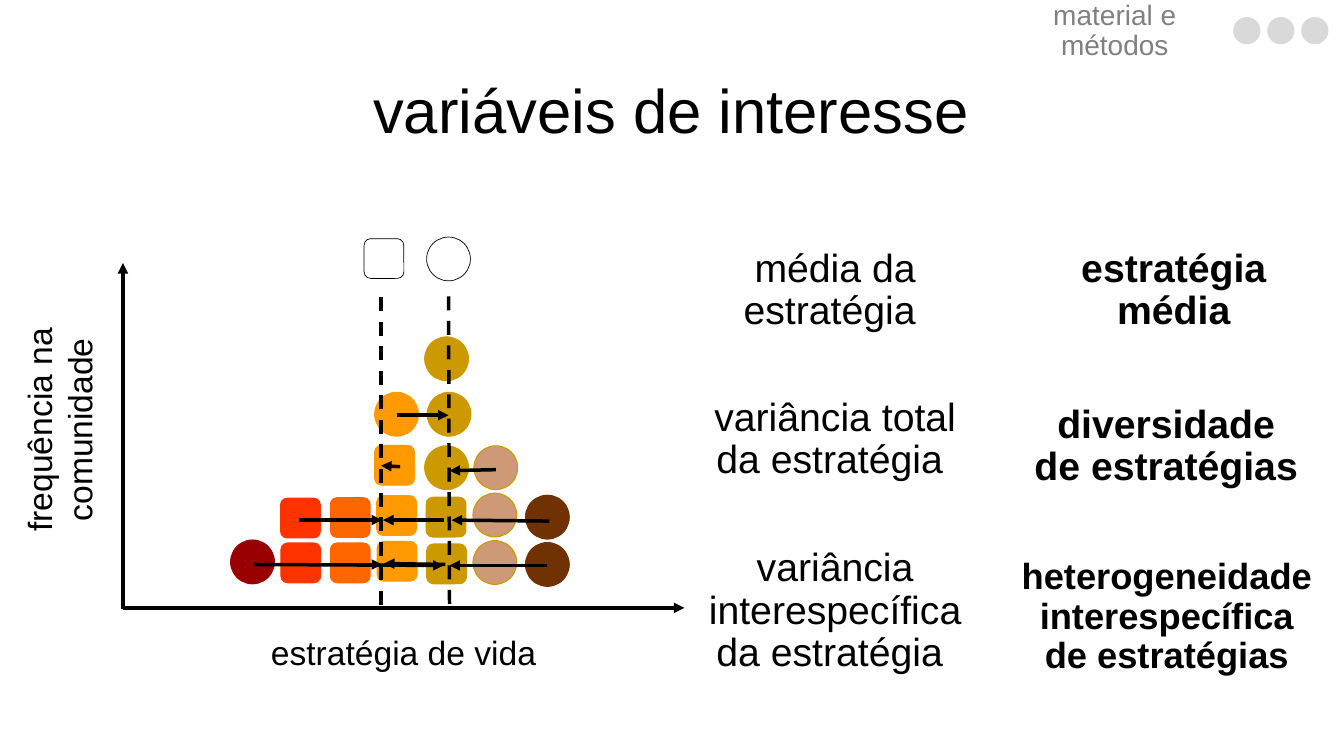
from lxml.etree import SubElement
from pptx import Presentation
from pptx.dml.color import RGBColor
from pptx.enum.dml import MSO_LINE
from pptx.enum.shapes import MSO_CONNECTOR, MSO_SHAPE
from pptx.enum.text import MSO_ANCHOR, PP_ALIGN
from pptx.oxml.ns import qn
from pptx.util import Pt

BLACK = RGBColor(0x00, 0x00, 0x00)
GREY = RGBColor(0x80, 0x80, 0x80)
LIGHT_GREY = RGBColor(0xD9, 0xD9, 0xD9)
DARK_RED = RGBColor(0x99, 0x00, 0x00)
RED = RGBColor(0xFF, 0x33, 0x00)
ORANGE = RGBColor(0xFF, 0x66, 0x00)
AMBER = RGBColor(0xFF, 0x99, 0x00)
MUSTARD = RGBColor(0xCC, 0x99, 0x00)
TAN = RGBColor(0xCD, 0x99, 0x76)
BROWN = RGBColor(0x70, 0x31, 0x03)

FONT = "Arial"
SQUARE, CIRCLE = MSO_SHAPE.ROUNDED_RECTANGLE, MSO_SHAPE.OVAL
TOKEN_SIZE = {SQUARE: 28.4, CIRCLE: 31.3}
MIDDLE, TOP = MSO_ANCHOR.MIDDLE, MSO_ANCHOR.TOP

# text, (left, top, width, height), format
HEADINGS = [
    ("variáveis de interesse", (40.3, 28.8, 878.4, 104.4), {"size": Pt(44)}),
    ("material e métodos", (709.2, 5.8, 174.2, 33.8),
     {"size": Pt(20), "color": GREY}),
]
# measure, its top, concept, concept's box, concept's size
VARIABLES = [
    ("média da estratégia ", 155.5,
     "estratégia média", (738.7, 155.5, 199.4, 104.4), 28),
    ("variância total da estratégia ", 262.1,
     "diversidade de estratégias", (728.6, 267.1, 208.8, 104.4), 28),
    ("variância interespecífica da estratégia ", 384.5,
     "heterogeneidade interespecífica de estratégias",
     (718.6, 388.8, 229.7, 104.4), 25.9),
]
MEASURE_LEFT, MEASURE_WIDTH, MEASURE_HEIGHT = 496.8, 199.4, 104.4

# colour, kind, centres of the individuals
INDIVIDUALS = [
    (DARK_RED, CIRCLE, [(180.4, 401.4)]),
    (RED, SQUARE, [(214.9, 402.1), (214.6, 370.1)]),
    (ORANGE, SQUARE, [(250.2, 402.1), (250.2, 369.7)]),
    (AMBER, SQUARE, [(283.7, 401), (283.3, 368.3), (281.9, 332.3)]),
    (AMBER, CIRCLE, [(283.3, 295.9)]),
    (MUSTARD, SQUARE, [(319, 402.8), (318.6, 369.4)]),
    (MUSTARD, CIRCLE, [(319, 334.1), (320.8, 295.9), (319, 256.3)]),
    (TAN, CIRCLE, [(353.5, 401.8), (353.5, 367.9), (354.2, 334.1)]),
    (BROWN, CIRCLE, [(391, 403.2), (391, 369.4)]),
]
SPECIES = [(SQUARE, (274.3, 184.7)), (CIRCLE, (320.4, 185))]
PROGRESS_DOTS, DOT_START, DOT_STEP, DOT_Y, DOT_SIZE = 3, 890.6, 24.3, 21.9, 18.7

AXES = [(87.8, 434.2, 488.9, 434.2), (87.8, 434.9, 87.8, 187.9)]
MEANS = [(321.1, 431.3, 320.4, 209.5), (272.2, 432, 272.2, 210.2)]
DEVIATIONS = [
    (181.4, 403.2, 316.8, 403.9), (391, 403.9, 321.1, 403.9),
    (354.2, 335.5, 321.1, 336.2), (392.4, 372.2, 322.6, 371.5),
    (283.7, 296.6, 320.4, 296.6), (214.6, 403.2, 272.9, 403.2),
    (317.5, 371.5, 273.6, 371.5), (213.8, 371.5, 272.9, 371.5),
    (285.8, 333.4, 272.2, 332.6), (318.2, 403.2, 274.3, 402.5),
]


def add_text(page, text, frame, style, anchor=MIDDLE, spacing=0.9, wrap=True):
    box = page.shapes.add_textbox(*map(Pt, frame))
    box.text_frame.word_wrap = wrap
    box.text_frame.vertical_anchor = anchor
    para = box.text_frame.paragraphs[0]
    para.alignment, para.line_spacing = PP_ALIGN.CENTER, spacing
    span = para.add_run()
    span.text = text
    values = {"name": FONT, "color": BLACK, **style}
    span.font.color.rgb = values.pop("color")
    for name, value in values.items():
        setattr(span.font, name, value)
    return box


def add_token(page, kind, centre, size, fill=None, edge=BLACK, width=0):
    """Draw a shape around its centre, unfilled when no fill is given."""
    x, y = centre
    token = page.shapes.add_shape(
        kind, Pt(x - size / 2), Pt(y - size / 2), Pt(size), Pt(size))
    token.shadow.inherit = False
    if fill is None:
        token.fill.background()
    else:
        token.fill.solid()
        token.fill.fore_color.rgb = fill
    token.line.color.rgb = edge
    token.line.width = Pt(width)


def add_line(page, ends, arrow=True):
    """Draw a line with an arrowhead, or a dashed one without."""
    line = page.shapes.add_connector(MSO_CONNECTOR.STRAIGHT, *map(Pt, ends))
    line.line.color.rgb = BLACK
    line.line.width = Pt(2.5)
    if arrow:
        SubElement(line.line._get_or_add_ln(), qn("a:tailEnd"), type="triangle")
    else:
        line.line.dash_style = MSO_LINE.DASH
    SubElement(line._element.spPr, qn("a:effectLst"))


def draw_chart(page):
    for axis in AXES:
        add_line(page, axis)
    add_text(page, "estratégia de vida", (185, 447.8, 206.6, 36),
             {"size": Pt(24)}, TOP, 1.0, wrap=False)
    label = add_text(page, "frequência na comunidade", (-52.6, 274.3, 190.1, 65.5),
                     {"size": Pt(24)}, TOP, 1.0)
    label.rotation = 270
    for color, kind, centres in INDIVIDUALS:
        edge = MUSTARD if color == TAN else color
        for centre in centres:
            add_token(page, kind, centre, TOKEN_SIZE[kind], color, edge)
    for mean in MEANS:
        add_line(page, mean, arrow=False)
    for kind, centre in SPECIES:
        add_token(page, kind, centre, TOKEN_SIZE[kind], width=0.5)
    for deviation in DEVIATIONS:
        add_line(page, deviation)


def main():
    deck = Presentation()
    deck.slide_width, deck.slide_height = Pt(960), Pt(540)
    page = deck.slides.add_slide(deck.slide_layouts[6])
    for text, frame, style in HEADINGS:
        add_text(page, text, frame, style)
    for index in range(PROGRESS_DOTS):
        centre = (DOT_START + index * DOT_STEP, DOT_Y)
        add_token(page, CIRCLE, centre, DOT_SIZE, LIGHT_GREY, LIGHT_GREY)
    draw_chart(page)
    for measure, top, concept, frame, size in VARIABLES:
        add_text(page, measure, (MEASURE_LEFT, top, MEASURE_WIDTH, MEASURE_HEIGHT),
                 {"size": Pt(28)})
        add_text(page, concept, frame, {"size": Pt(size), "bold": True})
    deck.save("out.pptx")


if __name__ == "__main__":
    main()
